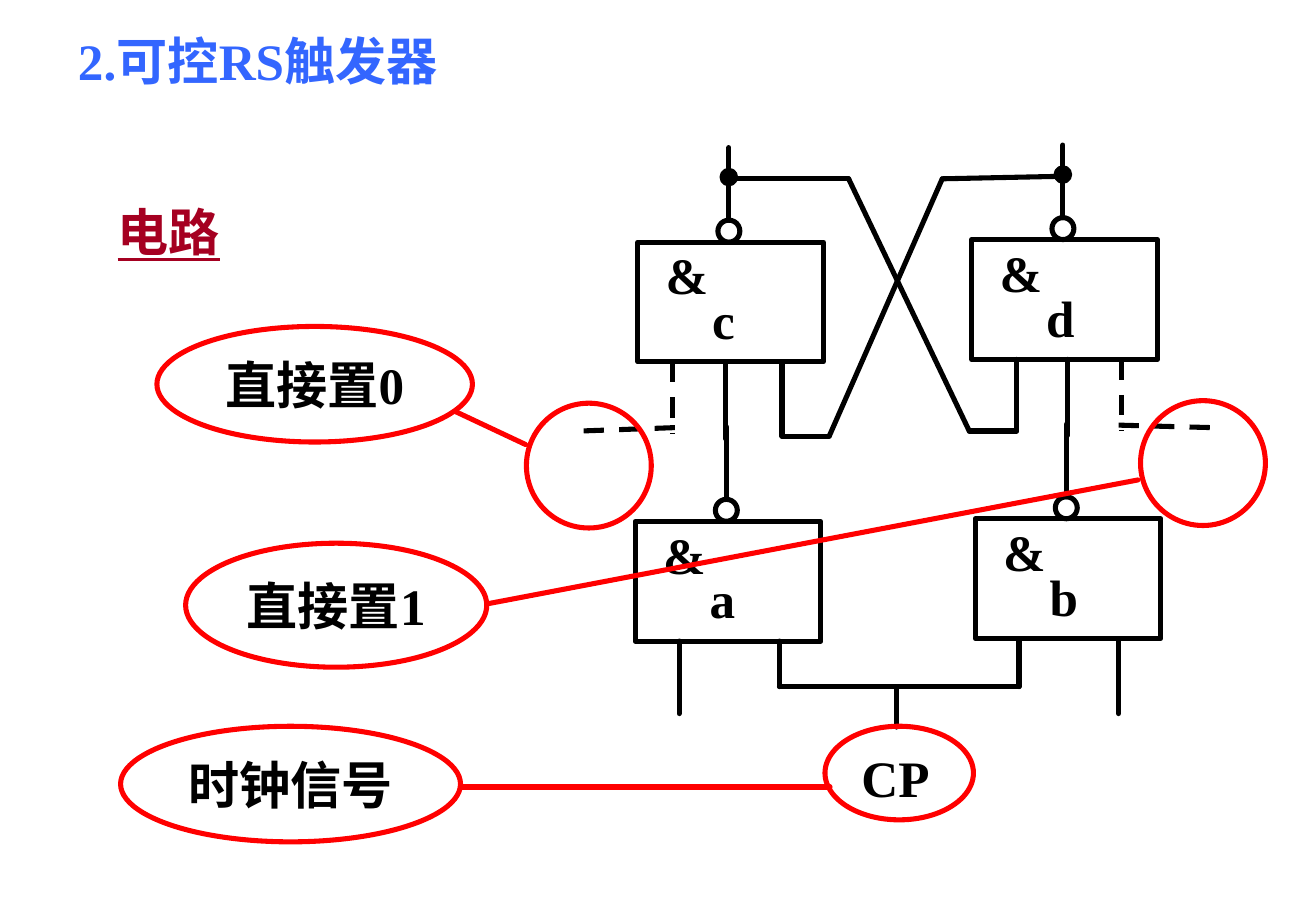
from itertools import pairwise

from lxml.etree import SubElement
from pptx import Presentation
from pptx.dml.color import RGBColor
from pptx.enum.dml import MSO_LINE
from pptx.enum.shapes import MSO_CONNECTOR as CONN, MSO_SHAPE as SHAPE
from pptx.enum.text import MSO_ANCHOR as ANCHOR, MSO_AUTO_SIZE as FIT, PP_ALIGN as ALIGN
from pptx.oxml.ns import qn
from pptx.util import Pt

COLORS = {"black": "000000", "blue": "3366FF", "red": "FF0000", "crimson": "A50021"}


def rgb(name):
    """Return the named colour."""
    return RGBColor.from_string(COLORS[name])


def write(tf, text, color="black", align=ALIGN.LEFT, anchor=ANCHOR.TOP, wrap=True, underline=None):
    """Put formatted text into a text frame."""
    tf.auto_size = FIT.NONE
    tf.word_wrap = wrap
    tf.vertical_anchor = anchor
    p = tf.paragraphs[0]
    p.alignment = align
    p.space_before = Pt(0)
    r = p.add_run()
    r.text = text
    r.font.name = "Times New Roman"
    r.font.size = Pt(30.3)
    r.font.bold = True
    r.font.underline = underline
    r.font.color.rgb = rgb(color)


class Circuit:
    """Draws circuit elements on one slide, in points."""

    weight = 3

    def __init__(self, s):
        """Keep the slide."""
        self.s = s

    def title(self, text, x, y, w, h, **fmt):
        """Fill and place the title placeholder."""
        sp = self.s.shapes.title
        sp.left, sp.top, sp.width, sp.height = Pt(x), Pt(y), Pt(w), Pt(h)
        write(sp.text_frame, text, **fmt)

    def text(self, text, x, y, w, h, **fmt):
        """Add a text box."""
        sp = self.s.shapes.add_textbox(Pt(x), Pt(y), Pt(w), Pt(h))
        write(sp.text_frame, text, **fmt)

    def shape(self, kind, x, y, w, h, color="black", solid=False, text=None):
        """Add an outlined shape."""
        sp = self.s.shapes.add_shape(kind, Pt(x), Pt(y), Pt(w), Pt(h))
        sp.shadow.inherit = False
        sp.line.color.rgb = rgb(color)
        sp.line.width = Pt(self.weight)
        if solid:
            sp.fill.solid()
            sp.fill.fore_color.rgb = rgb(color)
        else:
            sp.fill.background()
        if text:
            write(sp.text_frame, text, align=ALIGN.CENTER, anchor=ANCHOR.MIDDLE, wrap=False)

    def wire(self, *points, color="black", dashed=False):
        """Join the points with straight connectors."""
        for (x1, y1), (x2, y2) in pairwise(points):
            c = self.s.shapes.add_connector(CONN.STRAIGHT, Pt(x1), Pt(y1), Pt(x2), Pt(y2))
            c.line.color.rgb = rgb(color)
            c.line.width = Pt(self.weight)
            if dashed:
                c.line.dash_style = MSO_LINE.DASH
            else:
                c.line._ln.set("cap", "rnd")
            SubElement(c._element.spPr, qn("a:effectLst"))

    def gate(self, name, x, y, node=False):
        """Add a NAND gate with its output, and a node on it if asked."""
        self.shape(SHAPE.RECTANGLE, x, y, 110, 71)
        self.shape(SHAPE.OVAL, x + 47.5, y - 13, 13, 13)
        self.wire((x + 54, y - 56), (x + 54, y - 13))
        self.text("&", x + 9.5, y - 2.5, 78, 44)
        self.text(name, x + 37, y + 24, 55, 44)
        if node:
            self.shape(SHAPE.OVAL, x + 50, y - 42.5, 8, 8, solid=True)


def main():
    """Build the slide."""
    prs = Presentation()
    prs.slide_width, prs.slide_height = Pt(780), Pt(540)
    c = Circuit(prs.slides.add_slide(prs.slide_layouts[5]))
    c.title("2.可控RS触发器", 39, 14, 254, 44, color="blue")

    c.gate("c", 378, 143.5, node=True)
    c.gate("d", 576, 142, node=True)
    c.gate("a", 376.5, 309, node=False)
    c.gate("b", 578, 307.5, node=False)

    c.wire((432, 106), (503, 106), (574.5, 255.5), (602.5, 255.5), (602.5, 213))
    c.wire((630, 104.5), (558.5, 106), (491.5, 258.5), (463.5, 258.5), (463.5, 214.5))
    c.wire((430, 214.5), (430, 260))
    c.wire((633, 213), (633, 258))
    c.wire((398.5, 214.5), (398.5, 257), dashed=True)
    c.wire((400, 253.5), (344, 255.5), dashed=True)
    c.wire((664.5, 213), (664.5, 255.5), dashed=True)
    c.wire((663, 252), (718.5, 253.5), dashed=True)
    c.wire((402.5, 380), (402.5, 423))
    c.wire((663, 379), (663, 423))
    c.wire((462, 380), (462, 407), (604, 407), (604, 379))
    c.wire((531.5, 407), (531.5, 431))

    c.text("CP", 503.5, 439, 65, 44)
    c.shape(SHAPE.OVAL, 489, 430.5, 88, 55.5, color="red")
    c.wire((273, 466.5), (492, 466.5), color="red")
    c.shape(SHAPE.OVAL, 71.5, 430.5, 201.5, 68.5, color="red", text="时钟信号")

    c.shape(SHAPE.OVAL, 312, 239, 74, 74, color="red")
    c.wire((270, 244), (311.5, 263.5), color="red")
    c.shape(SHAPE.OVAL, 93, 193.5, 187, 68.5, color="red", text="直接置0")

    c.text("电路", 62, 115, 76, 44, color="crimson", align=ALIGN.CENTER,
           anchor=ANCHOR.MIDDLE, wrap=False, underline=True)

    c.shape(SHAPE.OVAL, 676, 237.5, 74, 74, color="red")
    c.shape(SHAPE.OVAL, 110, 322, 178.5, 73.5, color="red", text="直接置1")
    c.wire((288.5, 358), (674.5, 284.5), color="red")
    prs.save("out.pptx")


if __name__ == "__main__":
    main()
